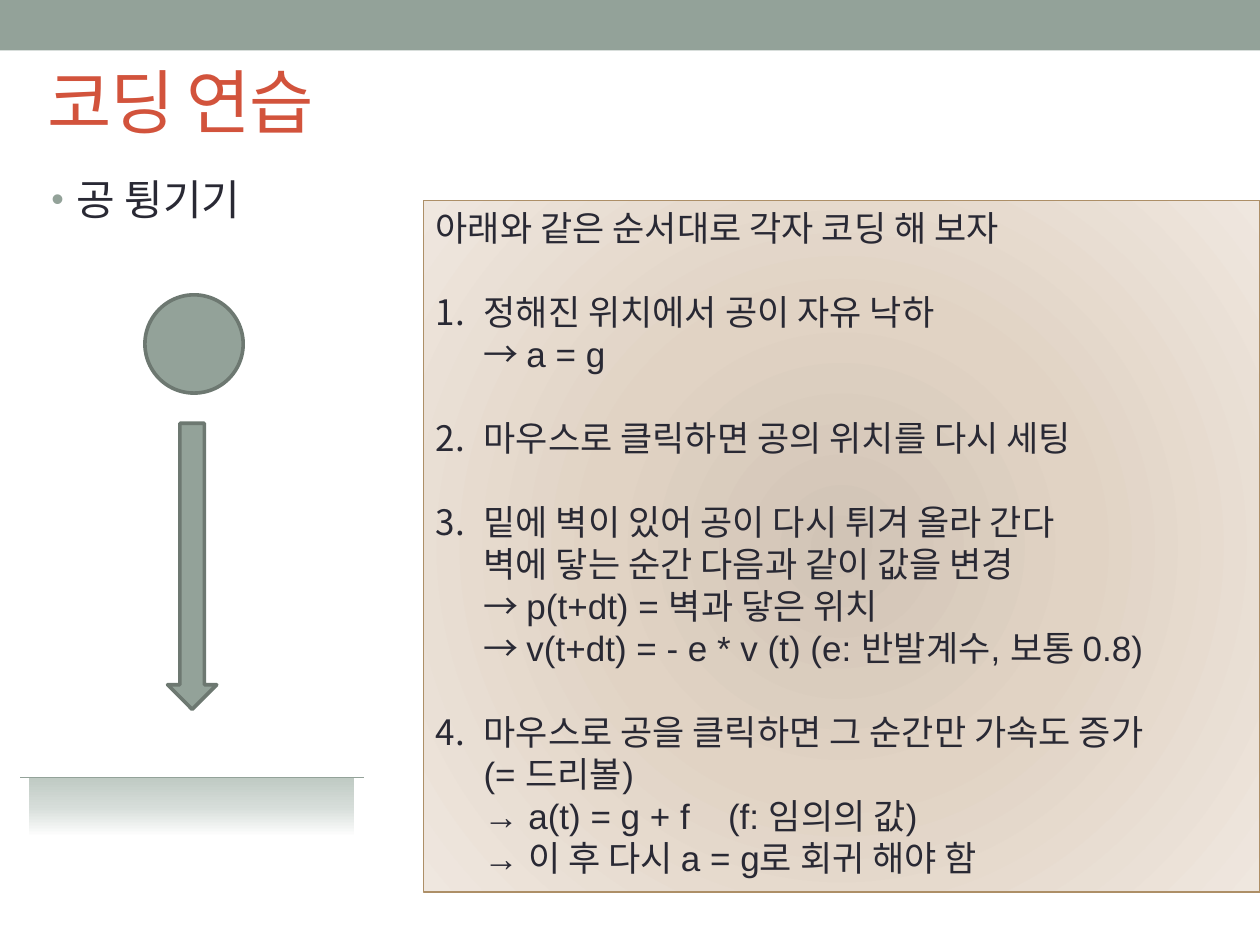
from lxml import etree
from pptx import Presentation, util as u
from pptx.dml.color import RGBColor
from pptx.enum import shapes, text
from pptx.oxml.ns import qn

W, H = 10, 7.5
SAGE, EDGE, INK = "93A299", "6D7871", "292934"
TITLE = "코딩 연습"
TOPIC = "공 튕기기"
LEAD = "아래와 같은 순서대로 각자 코딩 해 보자"
STEPS = [
    ["정해진 위치에서 공이 자유 낙하", "→ a = g"],
    ["마우스로 클릭하면 공의 위치를 다시 세팅"],
    ["밑에 벽이 있어 공이 다시 튀겨 올라 간다",
     "벽에 닿는 순간 다음과 같이 값을 변경",
     "→ p(t+dt) = 벽과 닿은 위치",
     "→ v(t+dt) = - e * v (t) (e: 반발계수, 보통 0.8)"],
    ["마우스로 공을 클릭하면 그 순간만 가속도 증가",
     "(= 드리볼)",
     "→ a(t) = g + f\t(f: 임의의 값)",
     "→ 이 후 다시 a = g로 회귀 해야 함"],
]
FLOOR = [(0, "BFCAC3"), (50, "D6DDD9"), (100, "FFFFFF")]
PANEL = [(0, "D1C4B6"), (45, "E1D3C4"), (100, "EFE7DF")]

deck = Presentation()
deck.slide_width, deck.slide_height = u.Inches(W), u.Inches(H)
page = deck.slides.add_slide(deck.slide_layouts[6])


def rgb(code):
    return RGBColor.from_string(code)


def add(node, tag, **attrs):
    child = etree.SubElement(node, qn("a:" + tag))
    for key, val in attrs.items():
        child.set(key, str(val))
    return child


def shape(kind, box, fill=None, line=None, width=0.75):
    item = page.shapes.add_shape(kind, *map(u.Inches, box))
    item.shadow.inherit = False
    if fill:
        item.fill.solid()
        item.fill.fore_color.rgb = rgb(fill)
    if line:
        item.line.color.rgb = rgb(line)
        item.line.width = u.Pt(width)
    else:
        item.line.fill.background()
    return item


def blend(item, stops, round=False):
    item.fill.gradient()
    grad = item._element.spPr.find(qn("a:gradFill"))
    for child in list(grad):
        grad.remove(child)
    row = add(grad, "gsLst")
    for pos, code in stops:
        add(add(row, "gs", pos=pos * 1000), "srgbClr", val=code)
    if round:
        ring = add(grad, "path", path="circle")
        add(ring, "fillToRect", l=100000, t=100000, r=100000, b=100000)
    else:
        add(grad, "lin", ang=5400000, scaled=0)


def frame(item, anchor=text.MSO_ANCHOR.TOP):
    body = item.text_frame
    body.word_wrap = True
    body.vertical_anchor = anchor
    return body


def label(box, anchor=text.MSO_ANCHOR.TOP):
    return frame(page.shapes.add_textbox(*map(u.Inches, box)), anchor)


def hang(para, inch):
    props = para._p.get_or_add_pPr()
    props.set("marL", str(u.Inches(inch)))
    props.set("indent", str(-u.Inches(inch)))
    return props


def write(para, lines, size, color=INK):
    para.alignment = text.PP_ALIGN.LEFT
    for n, line in enumerate(lines):
        if n:
            para.add_line_break()
        run = para.add_run()
        run.text = line
        run.font.name = "Arial"
        run.font.size = u.Pt(size)
        run.font.color.rgb = rgb(color)
    return run


kinds = shapes.MSO_SHAPE
shape(kinds.RECTANGLE, (0, 0, W, 0.4), SAGE)
blend(shape(kinds.RECTANGLE, (0.23, 6.17, 2.58, 0.47)), FLOOR)

head = label((0.28, 0.36, 9.38, 0.87), text.MSO_ANCHOR.MIDDLE)
run = write(head.paragraphs[0], [TITLE], 40, "D2533C")
run.font._element.set("spc", "-100")

topic = label((0.31, 1.33, 9.38, 5.94)).paragraphs[0]
props = hang(topic, 0.2)
add(add(props, "buClr"), "srgbClr", val=SAGE)
add(props, "buSzPct", val=85000)
add(props, "buFont", typeface="Arial")
add(props, "buChar", char="•")
write(topic, [TOPIC], 24)

ends = [u.Inches(v) for v in (0.16, 6.17, 2.89, 6.17)]
wall = page.shapes.add_connector(shapes.MSO_CONNECTOR.STRAIGHT, *ends)
wall.line.color.rgb = rgb(SAGE)
wall.line.width = u.Pt(0.75)
add(wall._element.spPr, "effectLst")

shape(kinds.OVAL, (1.15, 2.34, 0.78, 0.78), SAGE, EDGE, 2.08)
shape(kinds.DOWN_ARROW, (1.33, 3.36, 0.39, 2.27), SAGE, EDGE, 2.08)

panel = shape(kinds.RECTANGLE, (3.36, 1.59, 6.64, 5.49), line="AD8F67")
blend(panel, PANEL, round=True)
body = frame(panel)
hang(body.paragraphs[0], 0.38)
write(body.paragraphs[0], [LEAD], 20)
for lines in STEPS:
    para = body.add_paragraph()
    para.space_before = u.Pt(24)
    props = hang(para, 0.38)
    add(props, "buFont", typeface="Arial")
    add(props, "buAutoNum", type="arabicPeriod")
    add(add(props, "tabLst"), "tab", pos=u.Inches(2.32), algn="l")
    write(para, lines, 20)

deck.save("out.pptx")
